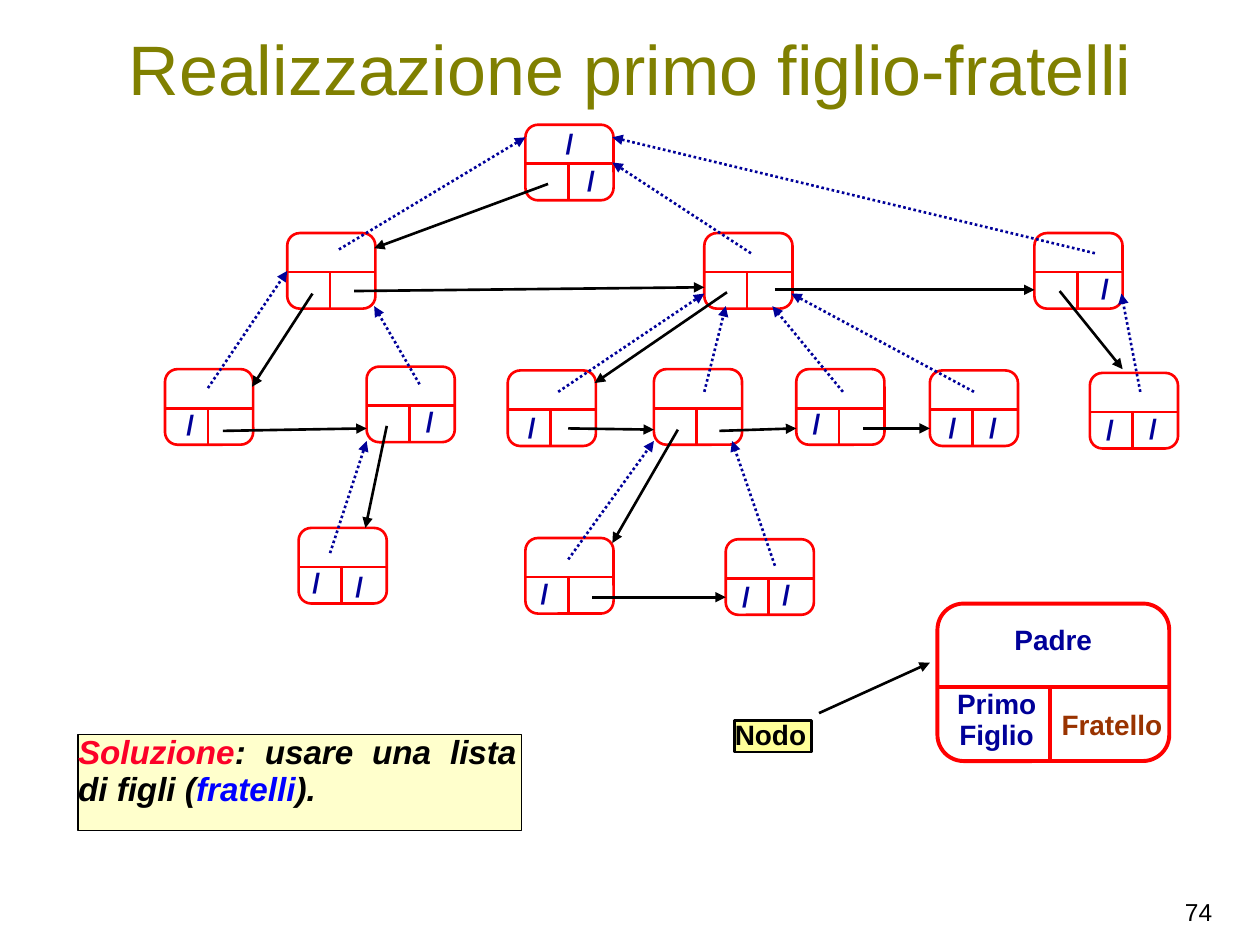
"""Slide showing a tree stored with first-child and sibling pointers."""
from lxml import etree
from pptx import Presentation
from pptx.dml.color import RGBColor
from pptx.enum import dml, shapes, text
from pptx.oxml.ns import qn
from pptx.util import Inches, Pt

RED = RGBColor(0xFF, 0x00, 0x00)
BLACK = RGBColor(0x00, 0x00, 0x00)
NAVY = RGBColor(0x00, 0x00, 0x99)
BROWN = RGBColor(0x99, 0x33, 0x00)
OLIVE = RGBColor(0x80, 0x80, 0x00)
CRIMSON = RGBColor(0xFC, 0x01, 0x28)
BLUE = RGBColor(0x00, 0x00, 0xFF)
YELLOW = RGBColor(0xFF, 0xFF, 0x99)
CREAM = RGBColor(0xFF, 0xFF, 0xCC)

NODE_W, NODE_H = 0.7, 0.6
NODES = [
    (4.17, 0.99), (2.28, 1.85), (5.59, 1.85), (8.21, 1.85),
    (1.31, 2.93), (2.91, 2.91), (4.03, 2.94), (5.19, 2.93),
    (6.32, 2.93), (7.38, 2.94), (8.65, 2.96),
    (2.37, 4.19), (4.17, 4.27), (5.76, 4.28),
]
CHILD_AND_SIBLING_LINKS = [
    (4.35, 1.46, 2.97, 1.97), (2.48, 2.33, 2, 3.07), (5.77, 2.32, 4.72, 3.04),
    (8.41, 2.31, 8.91, 2.93), (3.07, 3.38, 2.9, 4.19), (5.38, 3.41, 4.86, 4.31),
    (2.81, 2.31, 5.59, 2.28), (6.15, 2.3, 8.21, 2.3), (1.77, 3.42, 2.91, 3.4),
    (4.51, 3.4, 5.19, 3.41), (5.71, 3.42, 6.32, 3.4), (6.85, 3.4, 7.38, 3.4),
    (4.7, 4.74, 5.76, 4.74), (6.5, 5.66, 7.38, 5.26),
]
PARENT_LINKS = [
    (1.65, 3.08, 2.28, 2.15), (2.69, 1.98, 4.17, 1.09), (5.96, 2.01, 4.86, 1.29),
    (8.69, 2.01, 4.86, 1.09), (3.33, 3.05, 2.97, 2.43), (4.43, 3.11, 5.59, 2.33),
    (5.59, 3.11, 5.76, 2.43), (6.69, 3.11, 6.13, 2.43), (7.73, 3.11, 6.28, 2.33),
    (9.05, 3.11, 8.9, 2.33), (2.62, 4.39, 2.91, 3.5), (4.51, 4.44, 5.19, 3.5),
    (6.15, 4.49, 5.81, 3.5),
]
NULL_MARKS = [
    (4.49, 1.03), (4.66, 1.32), (8.74, 2.18), (1.48, 3.26), (3.38, 3.23),
    (4.19, 3.28), (6.45, 3.25), (7.53, 3.28), (7.85, 3.28), (8.78, 3.3),
    (9.12, 3.29), (2.48, 4.51), (2.82, 4.54), (4.29, 4.6), (5.89, 4.62),
    (6.21, 4.61),
]


def add_line(container, ends, color, width=1.5, arrow=False, dotted=False):
    line = container.add_connector(
        shapes.MSO_CONNECTOR.STRAIGHT, *(Inches(value) for value in ends))
    line.line.color.rgb = color
    line.line.width = Pt(width)
    if dotted:
        line.line.dash_style = dml.MSO_LINE.ROUND_DOT
    if arrow:
        etree.SubElement(line.line._get_or_add_ln(), qn("a:tailEnd"), type="triangle")
    etree.SubElement(line._element.spPr, qn("a:effectLst"))
    return line


def add_label(area, lines, size=16, wrap=False, align=text.PP_ALIGN.CENTER,
              anchor=text.MSO_ANCHOR.MIDDLE, italic=None):
    label = slide.shapes.add_textbox(*(Inches(value) for value in area))
    frame = label.text_frame
    frame.margin_left = frame.margin_top = frame.margin_bottom = 0
    frame.margin_right = Inches(0.04)
    frame.word_wrap = wrap
    frame.vertical_anchor = anchor
    for index, runs in enumerate(lines):
        paragraph = frame.add_paragraph() if index else frame.paragraphs[0]
        paragraph.alignment = align
        paragraph.line_spacing = 0.93
        for words, color in runs:
            run = paragraph.add_run()
            run.text = words
            run.font.name = "Arial"
            run.font.size = Pt(size)
            run.font.bold = True
            run.font.italic = italic
            run.font.color.rgb = color
    return label


prs = Presentation()
prs.slide_width, prs.slide_height = Inches(10), Inches(7.5)
slide = prs.slides.add_slide(prs.slide_layouts[5])

title = slide.shapes.title
title.left, title.top = Inches(0.5), Inches(0.13)
title.width, title.height = Inches(9), Inches(0.81)
title.text_frame.vertical_anchor = text.MSO_ANCHOR.MIDDLE
heading = title.text_frame.paragraphs[0]
heading.alignment = text.PP_ALIGN.CENTER
heading_run = heading.add_run()
heading_run.text = "Realizzazione primo figlio-fratelli"
heading_run.font.name = "Arial"
heading_run.font.size = Pt(40)
heading_run.font.color.rgb = OLIVE

boxes = {}
for left, top in NODES:
    node = slide.shapes.add_group_shape().shapes
    box = node.add_shape(shapes.MSO_SHAPE.ROUNDED_RECTANGLE, Inches(left),
                         Inches(top), Inches(NODE_W), Inches(NODE_H))
    box.shadow.inherit = False
    box.fill.background()
    box.line.color.rgb = RED
    box.line.width = Pt(1.5)
    boxes[left, top] = box
    add_line(node, (left + 0.34, top + NODE_H, left + 0.34, top + 0.3), RED)
    add_line(node, (left, top + 0.31, left + NODE_W, top + 0.31), RED)

for ends in CHILD_AND_SIBLING_LINKS:
    add_line(slide.shapes, ends, BLACK, arrow=True)
for ends in PARENT_LINKS:
    parent_link = add_line(slide.shapes, ends, NAVY, arrow=True, dotted=True)
    if ends[2:] == (2.28, 2.15):
        parent_link.end_connect(boxes[2.28, 1.85], 1)

for left, top in NULL_MARKS:
    add_label((left, top, 0.1, 0.25), [[("/", NAVY)]])

legend = slide.shapes.add_shape(shapes.MSO_SHAPE.ROUNDED_RECTANGLE, Inches(7.44),
                                Inches(4.79), Inches(1.84), Inches(1.25))
legend.shadow.inherit = False
legend.fill.background()
legend.line.color.rgb = RED
legend.line.width = Pt(2.25)
add_line(slide.shapes, (7.44, 5.45, 9.28, 5.45), RED, 2.25)
add_line(slide.shapes, (8.33, 5.45, 8.33, 6.04), RED, 2.25)
add_label((8.05, 4.96, 0.66, 0.25), [[("Padre", NAVY)]])
add_label((7.59, 5.47, 0.68, 0.5), [[("Primo", NAVY)], [("Figlio", NAVY)]])
add_label((8.37, 5.59, 0.95, 0.35), [[("Fratello", BROWN)]], wrap=True)

node_tag = add_label((5.83, 5.72, 0.61, 0.25), [[("Nodo", BLACK)]])
solution = add_label(
    (0.62, 5.83, 3.52, 0.76),
    [[("Soluzione", CRIMSON), (": usare una lista di figli (", BLACK),
      ("fratelli", BLUE), (").", BLACK)]],
    size=19, wrap=True, align=text.PP_ALIGN.JUSTIFY,
    anchor=text.MSO_ANCHOR.TOP, italic=True)
for panel, color, width in ((node_tag, YELLOW, 1.5), (solution, CREAM, 0.75)):
    panel.fill.solid()
    panel.fill.fore_color.rgb = color
    panel.line.color.rgb = BLACK
    panel.line.width = Pt(width)

page = slide.shapes.add_textbox(Inches(8.96), Inches(7.07), Inches(0.76), Inches(0.39))
page.text_frame.word_wrap = True
page_line = page.text_frame.paragraphs[0]
page_line.alignment = text.PP_ALIGN.RIGHT
page_run = page_line.add_run()
page_run.text = "74"
page_run.font.name = "Arial"
page_run.font.size = Pt(14)
page_run.font.color.rgb = BLACK

prs.save("out.pptx")
